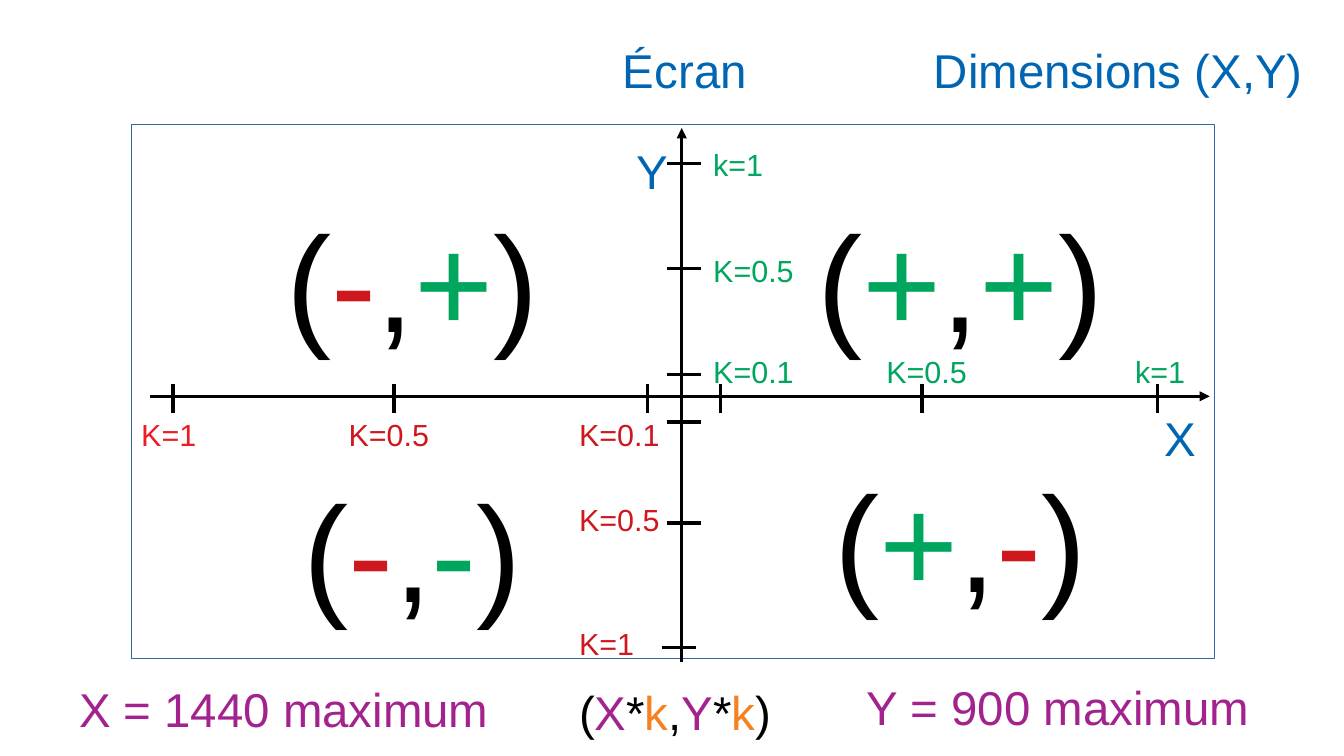
from dataclasses import dataclass

from lxml import etree
from pptx import Presentation
from pptx import util as u
from pptx.dml.color import RGBColor
from pptx.enum import shapes, text
from pptx.oxml import ns

BLACK = RGBColor(0x00, 0x00, 0x00)
WHITE = RGBColor(0xFF, 0xFF, 0xFF)
FRAME_BLUE = RGBColor(0x34, 0x65, 0xA4)
BLUE = RGBColor(0x00, 0x66, 0xB3)
GREEN = RGBColor(0x00, 0xA6, 0x5D)
RED = RGBColor(0xCE, 0x18, 0x1E)
BRIGHT_RED = RGBColor(0xED, 0x1C, 0x24)
PURPLE = RGBColor(0xA3, 0x23, 0x8E)
ORANGE = RGBColor(0xF5, 0x82, 0x20)

X_AXIS_Y, Y_AXIS_X = 3.25, 5.59
TICK_TOP, TICK_HEIGHT = 3.15, 0.24
TICK_LEFT, TICK_WIDTH = 5.47, 0.28

FRAME_FORMAT = {
    "margin_left": u.Inches(0.1), "margin_right": u.Inches(0.1),
    "margin_top": u.Inches(0.05), "margin_bottom": u.Inches(0.05),
    "word_wrap": True, "auto_size": text.MSO_AUTO_SIZE.SHAPE_TO_FIT_TEXT,
    "vertical_anchor": text.MSO_ANCHOR.TOP,
}


@dataclass
class Line:
    x1: float
    y1: float
    x2: float
    y2: float
    arrow: bool = False


@dataclass
class Label:
    x: float
    y: float
    w: float
    h: float
    runs: list[tuple[str, RGBColor]]
    size: int = 18
    align: text.PP_ALIGN = text.PP_ALIGN.LEFT


def draw_line(s, line: Line) -> None:
    ends = (u.Inches(v) for v in (line.x1, line.y1, line.x2, line.y2))
    c = s.shapes.add_connector(shapes.MSO_CONNECTOR.STRAIGHT, *ends)
    c.line.color.rgb = BLACK
    c.line.width = u.Pt(0)
    if line.arrow:
        etree.SubElement(c.line._get_or_add_ln(), ns.qn("a:tailEnd"), type="triangle")
    etree.SubElement(c._element.spPr, ns.qn("a:effectLst"))


def draw_label(s, label: Label) -> None:
    box = (u.Inches(v) for v in (label.x, label.y, label.w, label.h))
    tf = s.shapes.add_textbox(*box).text_frame
    for name, value in FRAME_FORMAT.items():
        setattr(tf, name, value)
    p = tf.paragraphs[0]
    p.alignment = label.align
    for words, color in label.runs:
        r = p.add_run()
        r.text = words
        for name, value in {"name": "Arial", "size": u.Pt(label.size)}.items():
            setattr(r.font, name, value)
        r.font.color.rgb = color


def quadrant(x: float, y: float, first: tuple[str, RGBColor],
             second: tuple[str, RGBColor]) -> Label:
    runs = [("(", BLACK), first, (",", BLACK), second, (")", BLACK)]
    return Label(x, y, 3.31, 1.34, runs, 80, text.PP_ALIGN.CENTER)


def scale(x: float, y: float, words: str, color: RGBColor,
          w: float = 0.94, h: float = 0.66) -> Label:
    return Label(x, y, w, h, [(words, color)])


def title(x: float, y: float, w: float, words: str, color: RGBColor = BLUE,
          h: float = 0.53) -> Label:
    return Label(x, y, w, h, [(words, color)], 28)


# Axes and their graduations
AXES = [
    Line(1.23, X_AXIS_Y, 9.92, X_AXIS_Y, arrow=True),
    Line(Y_AXIS_X, 5.43, Y_AXIS_X, 1.05, arrow=True),
]
TICKS = [Line(TICK_LEFT, y, TICK_LEFT + TICK_WIDTH, y)
         for y in (1.34, 2.2, 3.07, 3.46, 4.29)]
TICKS.append(Line(5.43, 5.31, 5.43 + TICK_WIDTH, 5.31))
TICKS += [Line(x, TICK_TOP, x, TICK_TOP + TICK_HEIGHT)
          for x in (1.42, 3.23, 5.31, 5.91, 7.56, 9.49)]

# Signs of the coordinates in each quadrant
PLUS, MINUS = ("+", GREEN), ("-", RED)
QUADRANTS = [
    quadrant(1.73, 3.78, MINUS, ("-", GREEN)),
    quadrant(1.73, 1.57, MINUS, PLUS),
    quadrant(6.22, 3.7, PLUS, MINUS),
    quadrant(6.22, 1.57, PLUS, PLUS),
]

# Names of the axes and of the screen
TITLES = [
    title(9.45, 3.31, 0.71, "X"),
    title(5.12, 1.12, 0.71, "Y"),
    title(7.56, 0.29, 3.31, "Dimensions (X,Y)"),
    title(5.01, 0.29, 1.42, "Écran", h=0.97),
]

# Scale factors along the axes
SCALES = [
    scale(5.75, 1.15, "k=1", GREEN, w=0.63),
    scale(9.21, 2.85, "k=1", GREEN, w=0.63),
    scale(5.75, 2.02, "K=0.5", GREEN),
    scale(5.75, 2.85, "K=0.1", GREEN),
    scale(7.17, 2.85, "K=0.5", GREEN),
    scale(4.65, 3.36, "K=0.1", RED, w=0.87, h=0.94),
    scale(1.06, 3.36, "K=1", BRIGHT_RED),
    scale(2.76, 3.36, "K=0.5", RED),
    scale(4.65, 4.06, "K=0.5", RED),
    scale(4.65, 5.08, "K=1", RED),
]

# Limits and formula under the screen
FORMULA_COLORS = {"X": PURPLE, "Y": PURPLE, "k": ORANGE}
FOOTER = [
    title(0.55, 5.53, 4.09, "X = 1440 maximum", PURPLE),
    title(7.01, 5.51, 4.09, "Y = 900 maximum", PURPLE),
    Label(4.65, 5.55, 1.89, 0.53,
          [(ch, FORMULA_COLORS.get(ch, BLACK)) for ch in "(X*k,Y*k)"], 28),
]


def draw_screen(s) -> None:
    box = (u.Inches(v) for v in (1.08, 1.02, 8.88, 4.38))
    sp = s.shapes.add_shape(shapes.MSO_SHAPE.RECTANGLE, *box)
    sp.shadow.inherit = False
    sp.fill.solid()
    sp.fill.fore_color.rgb = WHITE
    sp.line.color.rgb = FRAME_BLUE
    sp.line.width = u.Pt(0)


def main() -> None:
    prs = Presentation()
    prs.slide_width, prs.slide_height = u.Inches(11.02), u.Inches(6.2)
    s = prs.slides.add_slide(prs.slide_layouts[6])
    draw_screen(s)
    for line in AXES:
        draw_line(s, line)
    for label in QUADRANTS + TITLES:
        draw_label(s, label)
    for line in TICKS:
        draw_line(s, line)
    for label in SCALES + FOOTER:
        draw_label(s, label)
    prs.save("out.pptx")


if __name__ == "__main__":
    main()
